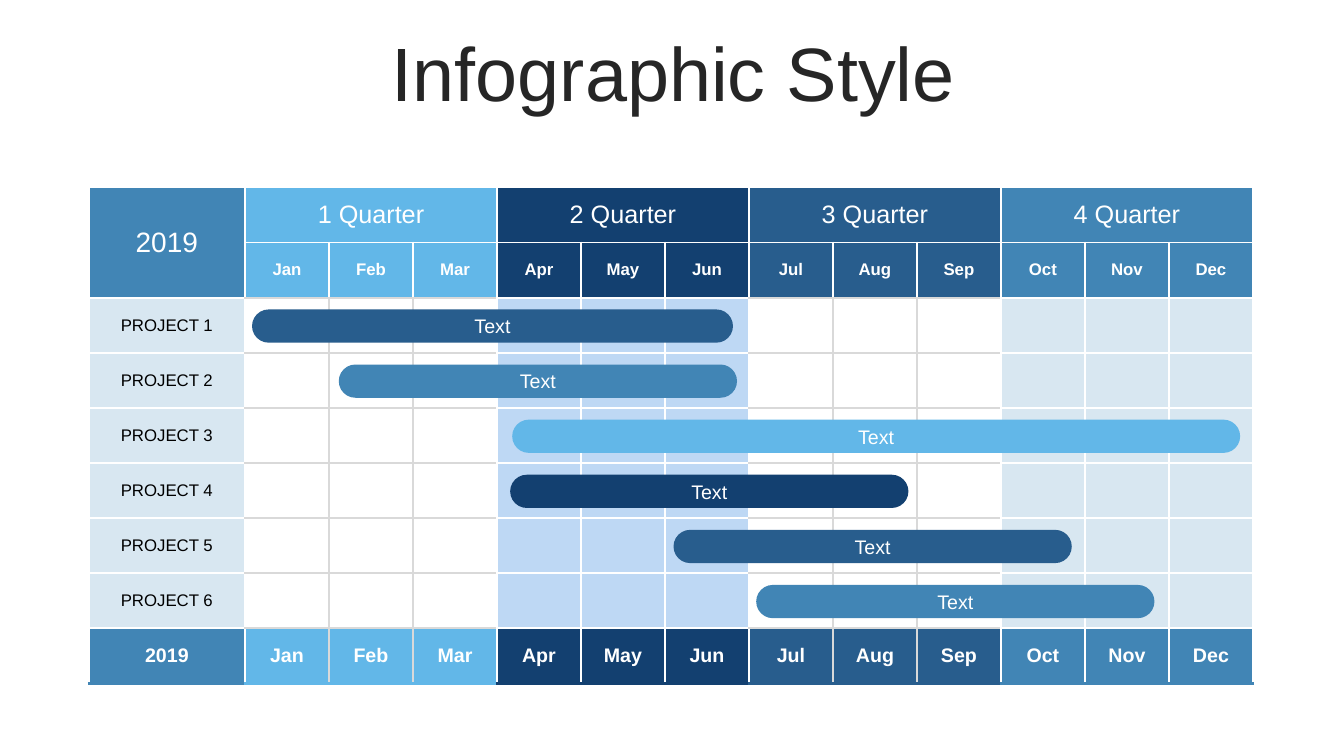
from dataclasses import dataclass

from lxml import etree
from pptx import Presentation
from pptx.dml.color import RGBColor
from pptx.enum import shapes, text
from pptx.oxml import ns
from pptx.util import Inches, Pt


@dataclass(frozen=True)
class Theme:
    font: str = "Arial"
    ink: str = "262626"
    black: str = "000000"
    white: str = "FFFFFF"
    grid: str = "D9D9D9"
    sky: str = "62B7E8"
    navy: str = "134070"
    blue: str = "285D8D"
    steel: str = "4185B5"
    pale: str = "D8E7F1"
    pale_blue: str = "BED8F4"
    title: int = 54
    year: int = 20
    quarter: int = 18
    label: int = 14
    small: int = 12
    rule: float = 1.5
    base_rule: float = 2.25


THEME = Theme()
YEAR = "2019"
MONTHS = "Jan Feb Mar Apr May Jun Jul Aug Sep Oct Nov Dec".split()
HEADER_COLORS = [THEME.sky, THEME.navy, THEME.blue, THEME.steel]
BODY_COLORS = [THEME.white, THEME.pale_blue, THEME.white, THEME.pale]
PROJECT_COUNT = 6
FIRST_BODY_ROW = 2
FOOTER_ROW = FIRST_BODY_ROW + PROJECT_COUNT
ROW_COUNT = FOOTER_ROW + 1

TABLE_LEFT, TABLE_TOP, TABLE_HEIGHT = 0.88, 1.86, 4.92
LABEL_WIDTH, MONTH_WIDTH = 1.55, 10 / 12
ROW_HEIGHT = TABLE_HEIGHT / ROW_COUNT
BAR_TOP, BAR_HEIGHT = 3.07, 0.33
BARS = [  # left, width, color; one bar per project
    (2.5, 4.77, THEME.blue),
    (3.36, 3.95, THEME.steel),
    (5.08, 7.22, THEME.sky),
    (5.06, 3.95, THEME.navy),
    (6.68, 3.95, THEME.blue),
    (7.5, 3.95, THEME.steel),
]


def write(frame, words, size, color=THEME.white, bold=False):
    """Put one centred line of text in a frame."""
    para = frame.paragraphs[0]
    para.alignment = text.PP_ALIGN.CENTER
    span = para.add_run()
    span.text = words
    formats = {"name": THEME.font, "size": Pt(size), "bold": bold}
    for name, value in formats.items():
        setattr(span.font, name, value)
    span.font.color.rgb = RGBColor.from_string(color)
    return para


def set_borders(cell, borders):
    """Draw cell sides from a dict of side letter to (color, points)."""
    properties = cell._tc.get_or_add_tcPr()
    for side in "LRTB":
        color, points = borders[side]
        line = etree.SubElement(properties, ns.qn(f"a:ln{side}"), w=str(Pt(points)))
        fill = etree.SubElement(line, ns.qn("a:solidFill"))
        etree.SubElement(fill, ns.qn("a:srgbClr"), val=color)


def cell_fill(row, column):
    if column == 0:
        in_body = FIRST_BODY_ROW <= row < FOOTER_ROW
        return THEME.pale if in_body else THEME.steel
    colors = BODY_COLORS if FIRST_BODY_ROW <= row < FOOTER_ROW else HEADER_COLORS
    return colors[(column - 1) // 3]


def cell_borders(row, column):
    """White sides, with a grey grid inside the unshaded quarters."""
    borders = dict.fromkeys("LRTB", (THEME.white, THEME.rule))
    gray = (THEME.grid, THEME.rule)
    quarter, month = divmod(column - 1, 3)
    if column and BODY_COLORS[quarter] == THEME.white:
        if row >= FIRST_BODY_ROW:
            borders["T"] = gray
            if month > 0:
                borders["L"] = gray
            if month < 2:
                borders["R"] = gray
        if row >= FIRST_BODY_ROW - 1:
            borders["B"] = gray
    if row == FOOTER_ROW:
        borders["B"] = (cell_fill(row, column), THEME.base_rule)
    return borders


def add_calendar(slide):
    width = LABEL_WIDTH + MONTH_WIDTH * len(MONTHS)
    frame = slide.shapes.add_table(
        ROW_COUNT, len(MONTHS) + 1, Inches(TABLE_LEFT), Inches(TABLE_TOP),
        Inches(width), Inches(TABLE_HEIGHT))
    table = frame.table
    table.first_row = table.horz_banding = False
    for index, column in enumerate(table.columns):
        column.width = Inches(MONTH_WIDTH if index else LABEL_WIDTH)
    for row_index, row in enumerate(table.rows):
        row.height = Inches(ROW_HEIGHT)
        for column_index, cell in enumerate(row.cells):
            for side in ("left", "right", "top", "bottom"):
                setattr(cell, f"margin_{side}", 0)
            cell.vertical_anchor = text.MSO_ANCHOR.MIDDLE
            set_borders(cell, cell_borders(row_index, column_index))
            cell.fill.solid()
            cell.fill.fore_color.rgb = RGBColor.from_string(
                cell_fill(row_index, column_index))
    fill_calendar(table)


def fill_calendar(table):
    """Merge the heading cells and write every label."""
    table.cell(0, 0).merge(table.cell(1, 0))
    write(table.cell(0, 0).text_frame, YEAR, THEME.year)
    for quarter in range(4):
        first = 1 + quarter * 3
        table.cell(0, first).merge(table.cell(0, first + 2))
        write(table.cell(0, first).text_frame, f"{quarter + 1} Quarter", THEME.quarter)
    for column, month in enumerate(MONTHS, 1):
        write(table.cell(1, column).text_frame, month, THEME.small, bold=True)
    for project in range(PROJECT_COUNT):
        cell = table.cell(FIRST_BODY_ROW + project, 0)
        write(cell.text_frame, f"PROJECT {project + 1}", THEME.small, THEME.black)
    for column, label in enumerate([YEAR] + MONTHS):
        write(table.cell(FOOTER_ROW, column).text_frame, label, THEME.label, bold=True)


def add_bar(slide, project, left, width, color):
    bar = slide.shapes.add_shape(
        shapes.MSO_SHAPE.ROUNDED_RECTANGLE, Inches(left),
        Inches(BAR_TOP + project * ROW_HEIGHT), Inches(width), Inches(BAR_HEIGHT))
    bar.adjustments[0] = 0.5
    bar.shadow.inherit = False
    bar.fill.solid()
    bar.fill.fore_color.rgb = RGBColor.from_string(color)
    bar.line.fill.background()
    bar.text_frame.vertical_anchor = text.MSO_ANCHOR.MIDDLE
    write(bar.text_frame, "Text", THEME.label)


def set_title(slide, words):
    title = slide.shapes.title
    place = {"left": 0.35, "top": 0.37, "width": 12.66, "height": 0.79}
    for name, value in place.items():
        setattr(title, name, Inches(value))
    frame = title.text_frame
    frame.auto_size = text.MSO_AUTO_SIZE.NONE
    frame.vertical_anchor = text.MSO_ANCHOR.MIDDLE
    para = write(frame, words, THEME.title, THEME.ink)
    para.line_spacing = 0.9
    para.space_before = Pt(10)


def main():
    deck = Presentation()
    deck.slide_width, deck.slide_height = Inches(13.33), Inches(7.5)
    page = deck.slides.add_slide(deck.slide_layouts.get_by_name("Title Only"))
    set_title(page, "Infographic Style")
    add_calendar(page)
    for project, bar in enumerate(BARS):
        add_bar(page, project, *bar)
    deck.save("out.pptx")


if __name__ == "__main__":
    main()
